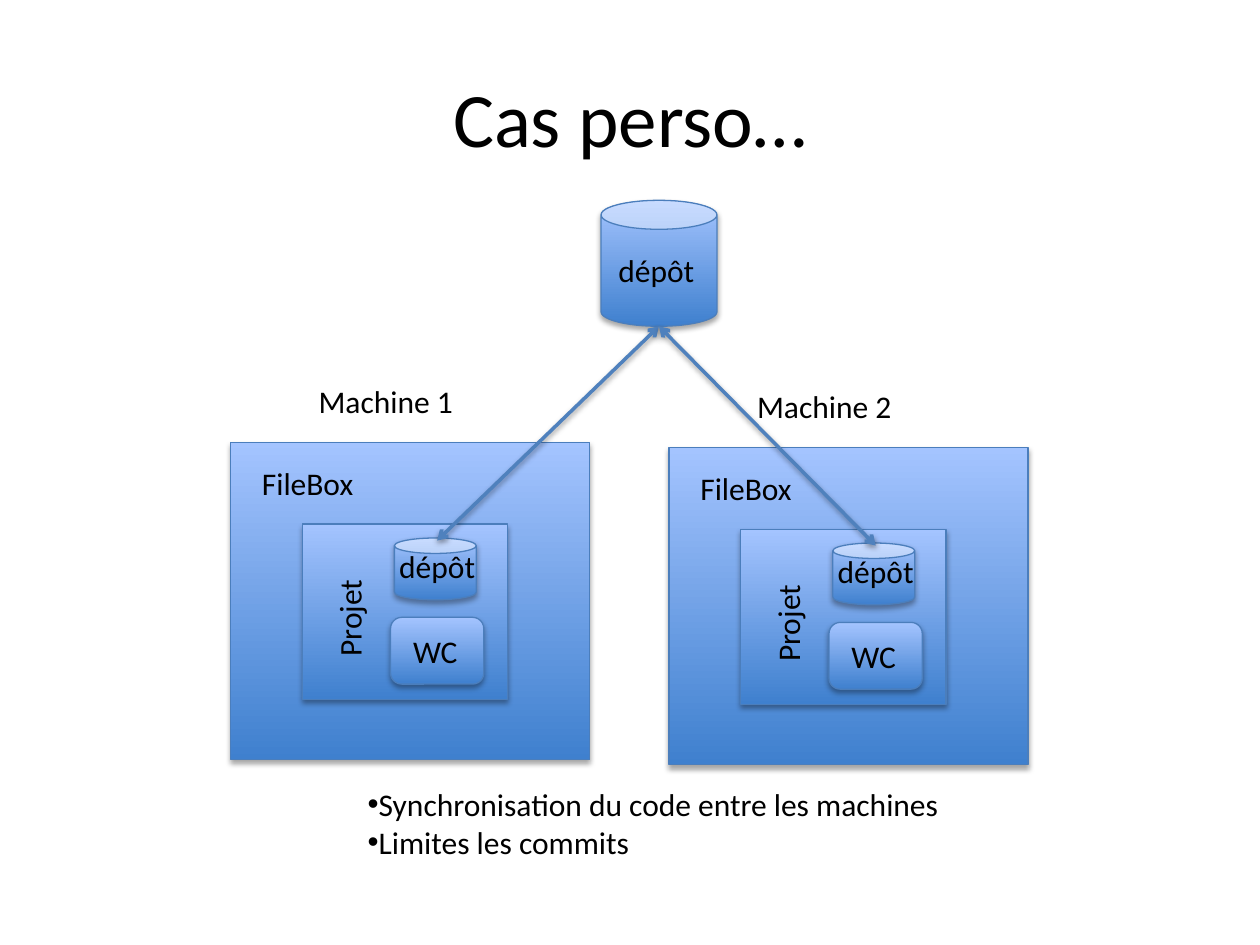
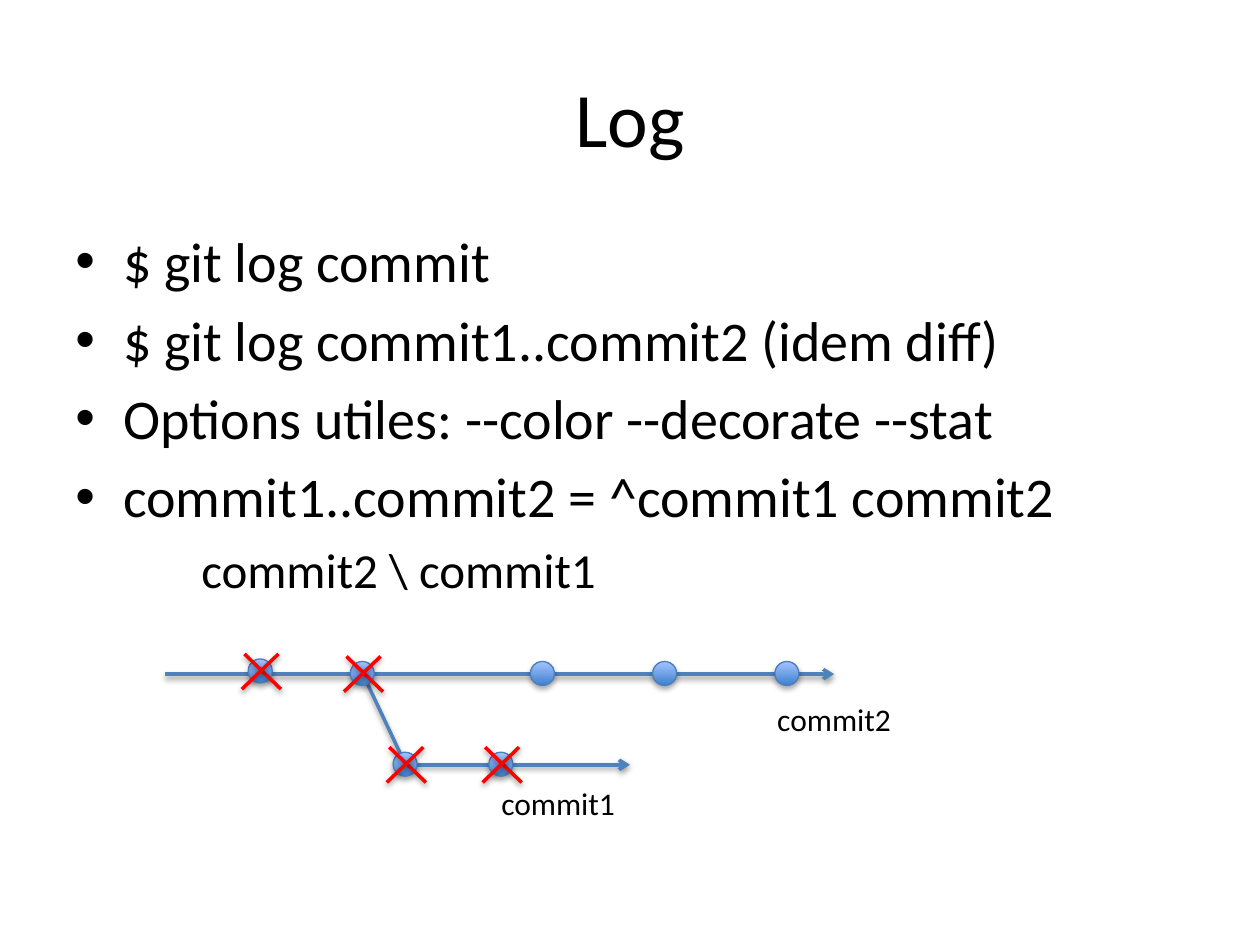
"""Build two slides: a repository synchronisation diagram and a git log summary."""
from lxml.etree import SubElement
from pptx import Presentation
from pptx.dml.color import RGBColor as Rgb
from pptx.enum.shapes import MSO_CONNECTOR as Connector, MSO_SHAPE as Preset
from pptx.enum.text import MSO_ANCHOR as Anchor, MSO_AUTO_SIZE as AutoSize, PP_ALIGN as Align
from pptx.oxml import parse_xml
from pptx.oxml.ns import nsdecls, qn
from pptx.util import Pt

PX = 9144
COLOURS = {
    "text": "000000",
    "top": "A4C4FF",
    "bottom": "3F80CE",
    "outline": "4B7EBC",
    "line": "4F81BD",
    "cross": "FF0000",
}
SHADOW = (
    f'<a:effectLst {nsdecls("a")}><a:outerShdw blurRad="40000" dist="{{distance}}" dir="5400000"'
    ' rotWithShape="0"><a:srgbClr val="000000"><a:alpha val="{alpha}"/></a:srgbClr>'
    "</a:outerShdw></a:effectLst>"
)
LABEL_FRAME = {"word_wrap": False, "auto_size": AutoSize.SHAPE_TO_FIT_TEXT}
TITLE_FRAME = {"word_wrap": True, "vertical_anchor": Anchor.MIDDLE}
BODY_FRAME = {"word_wrap": True}


def add_text(slide, box, lines, frame_format=LABEL_FRAME, size=18, **paragraph_format):
    """Add a text box with one paragraph per line and return it."""
    shape = slide.shapes.add_textbox(*(value * PX for value in box))
    frame = shape.text_frame
    for name, value in frame_format.items():
        setattr(frame, name, value)
    for index, line in enumerate(lines):
        paragraph = frame.paragraphs[0] if index == 0 else frame.add_paragraph()
        paragraph.text = line
        for name, value in paragraph_format.items():
            setattr(paragraph, name, value)
        font = paragraph.runs[0].font
        for name, value in {"name": "Calibri", "size": Pt(size)}.items():
            setattr(font, name, value)
        font.color.rgb = Rgb.from_string(COLOURS["text"])
    return shape


def add_line(slide, start, end, colour="line", arrow_ends=()):
    """Add a shadowed straight line with arrowheads at the named ends."""
    ends = (value * PX for value in (*start, *end))
    connector = slide.shapes.add_connector(Connector.STRAIGHT, *ends)
    connector.line.width = Pt(2)
    connector.line.color.rgb = Rgb.from_string(COLOURS[colour])
    properties = connector._element.spPr
    for arrow_end in arrow_ends:
        SubElement(properties.find(qn("a:ln")), qn(f"a:{arrow_end}"), type="arrow")
    properties.append(parse_xml(SHADOW.format(distance=20000, alpha=38000)))


presentation = Presentation()
presentation.slide_width = 1000 * PX
presentation.slide_height = 750 * PX
blank = presentation.slide_layouts[6]
case_slide, log_slide = (presentation.slides.add_slide(blank) for _ in range(2))
for slide, title in ((case_slide, "Cas perso…"), (log_slide, "Log")):
    add_text(slide, (50, 30, 900, 125), [title], TITLE_FRAME, 44, alignment=Align.CENTER)

commands = [
    "$ git log commit",
    "$ git log commit1..commit2 (idem diff)",
    "Options utiles: --color --decorate --stat",
    "commit1..commit2 = ^commit1 commit2",
    "commit2 \\ commit1",
]
body = add_text(log_slide, (50, 175, 900, 495), commands, BODY_FRAME, 32, space_before=Pt(6.4))
detail = body.text_frame.paragraphs[-1]
detail.space_before = Pt(5.6)
detail.runs[0].font.size = Pt(28)
detail._p.get_or_add_pPr().set("marL", str(100 * PX))

for start, end in (
    ((131, 535), (662, 535)),
    ((288, 535), (322, 607)),
    ((322, 607), (500, 607)),
):
    add_line(log_slide, start, end, arrow_ends=["tailEnd"])
for left, top, name in ((607, 551, "commit2"), (388, 617, "commit1")):
    add_text(log_slide, (left, top, 112, 40), [name])

machine_offsets = [(0, 0), (348, 4)]
machine_parts = [
    (Preset.RECTANGLE, 183, 351, 285, 252),
    (Preset.RECTANGLE, 240, 416, 163, 139),
    (Preset.CAN, 313, 427, 65, 49),
    (Preset.ROUNDED_RECTANGLE, 310, 490, 74, 53),
]
excluded_commits = [(197, 523), (278, 525), (312, 597), (388, 597)]
kept_commits = [(421, 525), (518, 525), (615, 525)]

solids = [
    (case_slide, preset, (left + dx, top + dy, width, height))
    for dx, dy in machine_offsets
    for preset, left, top, width, height in machine_parts
]
solids.append((case_slide, Preset.CAN, (477, 159, 92, 100)))
solids += [
    (log_slide, Preset.OVAL, (left, top, 19, 19)) for left, top in excluded_commits + kept_commits
]
for slide, preset, box in solids:
    shape = slide.shapes.add_shape(preset, *(value * PX for value in box))
    shape.fill.gradient()
    shape.fill.gradient_angle = 90
    for stop, colour in zip(shape.fill.gradient_stops, ("bottom", "top")):
        stop.color.rgb = Rgb.from_string(COLOURS[colour])
    shape.line.width = Pt(0.75)
    shape.line.color.rgb = Rgb.from_string(COLOURS["outline"])
    shape._element.spPr.append(parse_xml(SHADOW.format(distance=23000, alpha=35000)))

machine_labels = [
    ("FileBox", 198, 363, 109, 0),
    ("dépôt", 307, 429, 81, 0),
    ("WC", 318, 497, 57, 0),
    ("Machine {number}", 243, 298, 128, 0),
    ("Projet", 236, 470, 82, 270),
]
for number, (dx, dy) in enumerate(machine_offsets, start=1):
    for label, left, top, width, rotation in machine_labels:
        box = (left + dx, top + dy, width, 40)
        add_text(case_slide, box, [label.format(number=number)]).rotation = rotation
add_text(case_slide, (481, 194, 81, 40), ["dépôt"])
benefits = ["Synchronisation du code entre les machines", "Limites les commits"]
summary = add_text(case_slide, (282, 618, 477, 71), benefits)

bulleted = [(paragraph, 0) for paragraph in summary.text_frame.paragraphs]
bulleted += [(paragraph, 38) for paragraph in body.text_frame.paragraphs[:-1]]
for paragraph, indent in bulleted:
    properties = paragraph._p.get_or_add_pPr()
    for name, value in {"marL": indent, "indent": -indent}.items():
        properties.set(name, str(value * PX))
    SubElement(properties, qn("a:buFont"), typeface="Arial")
    SubElement(properties, qn("a:buChar"), char="•")

for dx, dy in machine_offsets:
    add_line(case_slide, (347 + dx, 429 + dy), (523, 259), arrow_ends=["headEnd", "tailEnd"])
for left, top in excluded_commits:
    add_line(log_slide, (left - 3, top - 4), (left + 26, top + 24), "cross")
    add_line(log_slide, (left - 5, top + 24), (left + 24, top - 4), "cross")

presentation.save("out.pptx")
